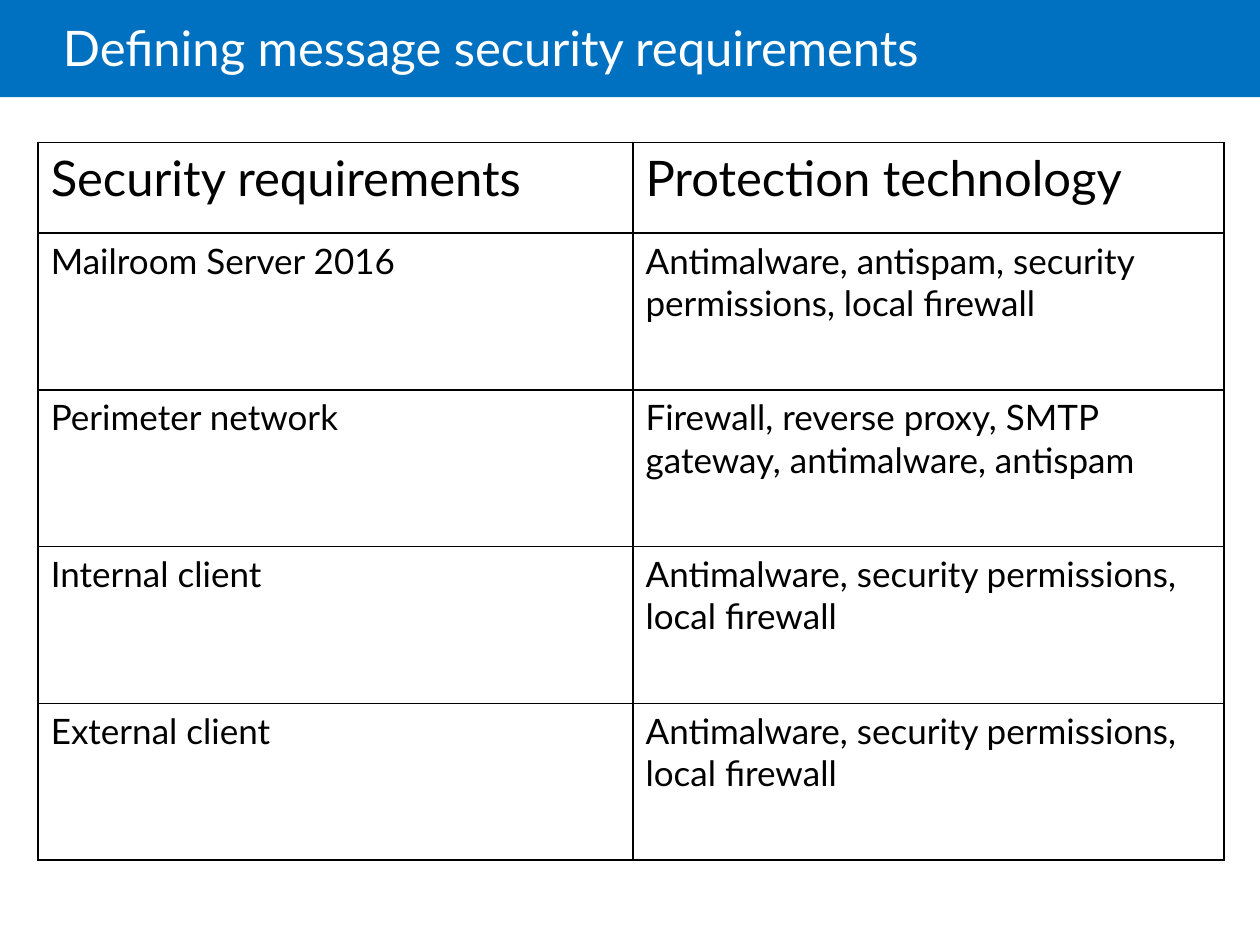
from lxml import etree
from pptx import Presentation
from pptx.dml import color
from pptx.enum import shapes, text
from pptx.oxml import ns
from pptx.util import Cm, Pt

TITLE = "Defining message security requirements"
ROWS = [
    ("Security requirements", "Protection technology"),
    ("Mailroom Server 2016", "Antimalware, antispam, security permissions, local firewall"),
    ("Perimeter network", "Firewall, reverse proxy, SMTP gateway, antimalware, antispam"),
    ("Internal client", "Antimalware, security permissions, local firewall"),
    ("External client", "Antimalware, security permissions, local firewall"),
]
COLUMN_WIDTHS = (11.99, 11.91)
HEADER_HEIGHT, BODY_HEIGHT = 1.83, 3.16
BLUE, WHITE, BLACK = "0070C0", "FFFFFF", "000000"
HEADING_SIZE, BODY_SIZE = 28, 20
TITLE_FRAME = {
    "word_wrap": True,
    "vertical_anchor": text.MSO_ANCHOR.MIDDLE,
    "margin_left": Cm(0),
    "margin_right": Cm(0.25),
    "margin_top": Cm(0.13),
    "margin_bottom": Cm(0.13),
}


def rgb(value):
    return color.RGBColor.from_string(value)


def apply_format(target, values):
    for name, value in values.items():
        setattr(target, name, value)


def write(para, words, size, ink):
    span = para.add_run()
    span.text = words
    apply_format(span.font, {"name": "Lato", "size": Pt(size), "bold": False})
    span.font.color.rgb = rgb(ink)


def add_borders(cell, ink, width):
    properties = cell._tc.get_or_add_tcPr()
    for side in ("lnL", "lnR", "lnT", "lnB"):
        line = etree.SubElement(properties, ns.qn(f"a:{side}"), w=str(Pt(width)))
        fill = etree.SubElement(line, ns.qn("a:solidFill"))
        etree.SubElement(fill, ns.qn("a:srgbClr"), val=ink)


def add_title(page, deck):
    band = page.shapes.add_shape(
        shapes.MSO_SHAPE.RECTANGLE, 0, 0, deck.slide_width, Cm(1.96))
    band.shadow.inherit = False
    band.fill.solid()
    band.fill.fore_color.rgb = rgb(BLUE)
    band.line.fill.background()
    box = page.shapes.add_textbox(Cm(1.27), 0, Cm(21.59), Cm(2.06))
    apply_format(box.text_frame, TITLE_FRAME)
    para = box.text_frame.paragraphs[0]
    para.line_spacing = 0.85
    write(para, TITLE, HEADING_SIZE, WHITE)


def add_requirements(page):
    heights = [HEADER_HEIGHT] + [BODY_HEIGHT] * (len(ROWS) - 1)
    table = page.shapes.add_table(
        len(ROWS), len(COLUMN_WIDTHS), Cm(0.77), Cm(2.87),
        Cm(sum(COLUMN_WIDTHS)), Cm(sum(heights))).table
    apply_format(table, {"first_row": False, "horz_banding": False})
    for column, width in zip(table.columns, COLUMN_WIDTHS):
        column.width = Cm(width)
    for r, (row, height) in enumerate(zip(table.rows, heights)):
        row.height = Cm(height)
        size = BODY_SIZE if r else HEADING_SIZE
        for cell, words in zip(row.cells, ROWS[r]):
            add_borders(cell, BLACK, 1)
            cell.fill.background()
            write(cell.text_frame.paragraphs[0], words, size, BLACK)


def main():
    deck = Presentation()
    apply_format(deck, {"slide_width": Cm(25.4), "slide_height": Cm(19.05)})
    page = deck.slides.add_slide(deck.slide_layouts[6])
    add_title(page, deck)
    add_requirements(page)
    deck.save("out.pptx")


if __name__ == "__main__":
    main()
